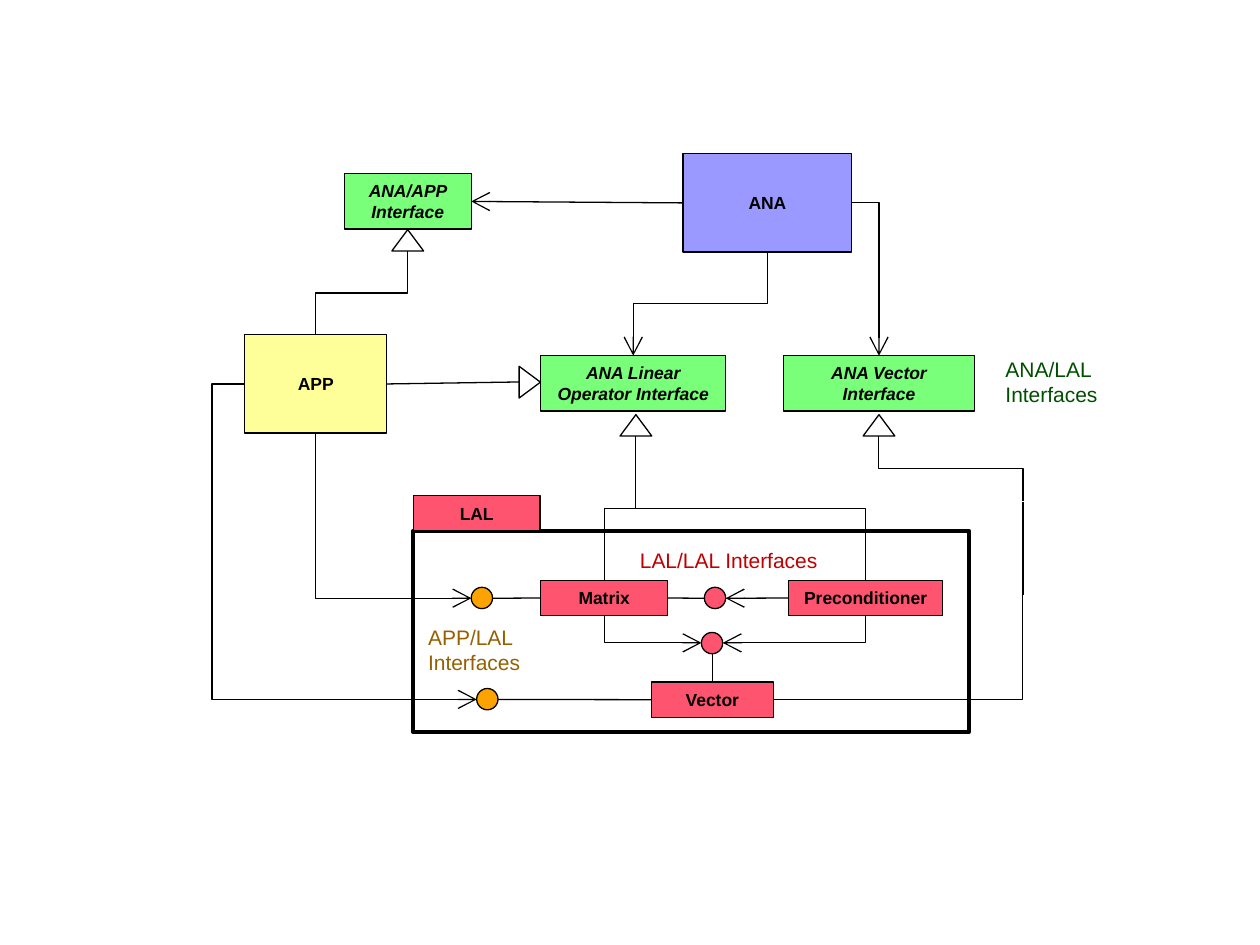
from lxml.etree import SubElement
from pptx import Presentation
from pptx.dml.color import RGBColor
from pptx.enum.shapes import MSO_CONNECTOR, MSO_SHAPE
from pptx.enum.text import MSO_ANCHOR, PP_ALIGN
from pptx.oxml.ns import qn
from pptx.util import Cm, Pt

COLORS = {
    "ink": "000000", "white": "FFFFFF", "analysis": "9999FF", "app": "FFFF99",
    "interface": "79FF79", "lal": "FE5470", "port": "FCA302",
    "green_text": "004E00", "brown_text": "956001", "red_text": "C00000",
}
TOP, LEFT, BOTTOM, RIGHT = range(4)
DOT = 0.43


def rgb(name):
    return RGBColor.from_string(COLORS[name])


def add_run(p, text, size, color, bold=False, italic=False):
    r = p.add_run()
    r.text = text
    r.font.name = "Arial"
    r.font.size = Pt(size)
    r.font.bold = bold
    r.font.italic = italic
    r.font.color.rgb = rgb(color)


def add_shape(s, kind, x, y, w, h, fill=None, weight=0.75):
    sp = s.shapes.add_shape(kind, Cm(x), Cm(y), Cm(w), Cm(h))
    sp.shadow.inherit = False
    if fill:
        sp.fill.solid()
        sp.fill.fore_color.rgb = rgb(fill)
    else:
        sp.fill.background()
    sp.line.color.rgb = rgb("ink")
    sp.line.width = Pt(weight)
    return sp


def add_box(s, text, x, y, w, h, fill):
    sp = add_shape(s, MSO_SHAPE.RECTANGLE, x, y, w, h, fill)
    tf = sp.text_frame
    tf.word_wrap = True
    tf.vertical_anchor = MSO_ANCHOR.MIDDLE
    p = tf.paragraphs[0]
    p.alignment = PP_ALIGN.CENTER
    add_run(p, text, 10, "ink", bold=True, italic=fill == "interface")
    return sp


def add_triangle(s, x, y, rotation=0):
    sp = add_shape(s, MSO_SHAPE.ISOSCELES_TRIANGLE, x, y, 0.64, 0.43, "white")
    sp.rotation = rotation


def add_dot(s, x, y, fill):
    add_shape(s, MSO_SHAPE.OVAL, x, y, DOT, DOT, fill)


def add_label(s, text, x, y, w, h, color):
    tf = s.shapes.add_textbox(Cm(x), Cm(y), Cm(w), Cm(h)).text_frame
    tf.word_wrap = True
    add_run(tf.paragraphs[0], text, 12, color)


def point(x, y):
    return Cm(x), Cm(y)


def side(sp, i):
    """Middle of one side of a box, numbered like its connection sites."""
    dx, dy = ((1, 0), (0, 1), (1, 2), (2, 1))[i]
    return sp.left + sp.width * dx // 2, sp.top + sp.height * dy // 2


def style_line(c, arrow):
    c.line.color.rgb = rgb("ink")
    c.line.width = Pt(0.75)
    if arrow:
        SubElement(c.line._get_or_add_ln(), qn("a:tailEnd"), type="arrow", w="lg", len="lg")
    SubElement(c._element.spPr, qn("a:effectLst"))


def add_line(s, start, end, arrow=False):
    """Straight line; each end is a point or a (box, side) pair to join."""
    ends = [side(*e) if hasattr(e[0], "left") else e for e in (start, end)]
    c = s.shapes.add_connector(MSO_CONNECTOR.STRAIGHT, *ends[0], *ends[1])
    style_line(c, arrow)
    if ends[0] != start:
        c.begin_connect(*start)
    if ends[1] != end:
        c.end_connect(*end)


def add_elbow(s, start, end, vertical=True, bends=2, arrow=False, adj=0.5):
    """Bent line that leaves its start vertically or horizontally."""
    (x1, y1), (x2, y2) = start, end
    dx, dy = x2 - x1, y2 - y1
    w, h = abs(dx), abs(dy)
    rot, flip_h, flip_v = 0, dx < 0, dy < 0
    if vertical:
        w, h = h, w
        if dy > 0 > dx:
            rot, flip_h, flip_v = 90, False, False
        else:
            rot, flip_h, flip_v = 270, dy > 0, dx < 0
    left, top = (x1 + x2 - w) // 2, (y1 + y2 - h) // 2
    c = s.shapes.add_connector(MSO_CONNECTOR.ELBOW, left, top, left + w, top + h)
    xfrm = c._element.spPr.find(qn("a:xfrm"))
    for name, value in (("rot", rot * 60000), ("flipH", int(flip_h)), ("flipV", int(flip_v))):
        if value:
            xfrm.set(name, str(value))
    geom = c._element.spPr.find(qn("a:prstGeom"))
    geom.set("prst", f"bentConnector{bends + 1}")
    if bends == 2:
        SubElement(geom.find(qn("a:avLst")), qn("a:gd"), name="adj1",
                   fmla=f"val {round(adj * 100000)}")
    style_line(c, arrow)


def main():
    prs = Presentation()
    prs.slide_width, prs.slide_height = Cm(25.4), Cm(19.05)
    s = prs.slides.add_slide(prs.slide_layouts[6])

    # Components and interfaces
    ana = add_box(s, "ANA", 13.77, 3.1, 3.4, 1.98, "analysis")
    app = add_box(s, "APP", 4.93, 6.75, 2.87, 1.98, "app")
    ana_app = add_box(s, "ANA/APP Interface", 6.94, 3.5, 2.56, 1.12, "interface")
    operator = add_box(s, "ANA Linear Operator Interface", 10.9, 7.17, 3.73, 1.12, "interface")
    vector_interface = add_box(s, "ANA Vector Interface", 15.8, 7.17, 3.84, 1.12, "interface")

    # LAL package
    add_shape(s, MSO_SHAPE.RECTANGLE, 8.33, 10.7, 11.2, 4.06, weight=2.25)
    add_box(s, "LAL", 8.33, 9.99, 2.56, 0.71, "lal")
    matrix = add_box(s, "Matrix", 10.9, 11.7, 2.56, 0.71, "lal")
    precond = add_box(s, "Preconditioner", 15.9, 11.7, 3.1, 0.71, "lal")
    vector = add_box(s, "Vector", 13.13, 13.75, 2.46, 0.71, "lal")

    # Inheritance triangles and interface dots
    for x, y, rotation in ((17.4, 8.36, 0), (12.5, 8.36, 0), (7.9, 4.63, 0), (10.36, 7.49, 90)):
        add_triangle(s, x, y, rotation)
    for x, y, fill in ((9.5, 11.84, "port"), (9.61, 13.88, "port"),
                       (14.2, 11.84, "lal"), (14.14, 12.75, "lal")):
        add_dot(s, x, y, fill)

    # Labels
    add_label(s, "ANA/LAL Interfaces", 20.02, 7.06, 3.02, 1.27, "green_text")
    add_label(s, "APP/LAL Interfaces", 8.38, 12.47, 3.02, 1.27, "brown_text")
    add_label(s, "LAL/LAL Interfaces", 12.65, 10.92, 5.49, 0.76, "red_text")

    # Straight links
    add_line(s, (ana, LEFT), (ana_app, RIGHT), arrow=True)
    add_line(s, (precond, LEFT), point(14.63, 12.06), arrow=True)
    add_line(s, (matrix, RIGHT), point(14.2, 12.06))
    add_line(s, (matrix, LEFT), point(9.93, 12.06))
    add_line(s, (vector, TOP), point(14.36, 13.18))
    add_line(s, (vector, LEFT), point(10.04, 14.1))
    add_line(s, (app, RIGHT), point(10.46, 7.7))

    # Links from ANA to its interfaces
    add_elbow(s, side(ana, RIGHT), side(vector_interface, TOP), False, bends=1, arrow=True)
    add_elbow(s, side(ana, BOTTOM), side(operator, TOP), arrow=True)

    # Links from APP
    add_elbow(s, side(app, TOP), point(8.22, 5.06))
    add_elbow(s, side(app, BOTTOM), point(9.5, 12.06), bends=1, arrow=True)
    add_elbow(s, side(app, LEFT), point(9.61, 14.1), False, arrow=True, adj=-0.14)

    # Links from the LAL parts
    for part in (matrix, precond):
        add_elbow(s, side(part, TOP), point(12.81, 8.79))
    add_elbow(s, side(matrix, BOTTOM), point(14.14, 12.96), bends=1, arrow=True)
    add_elbow(s, side(precond, BOTTOM), point(14.57, 12.96), bends=1, arrow=True)
    add_elbow(s, side(vector, RIGHT), point(20.62, 11.99), False, bends=1)
    add_line(s, point(20.62, 10.11), point(20.62, 11.99))
    add_elbow(s, point(20.62, 10.11), point(17.71, 8.79))

    prs.save("out.pptx")


if __name__ == "__main__":
    main()
